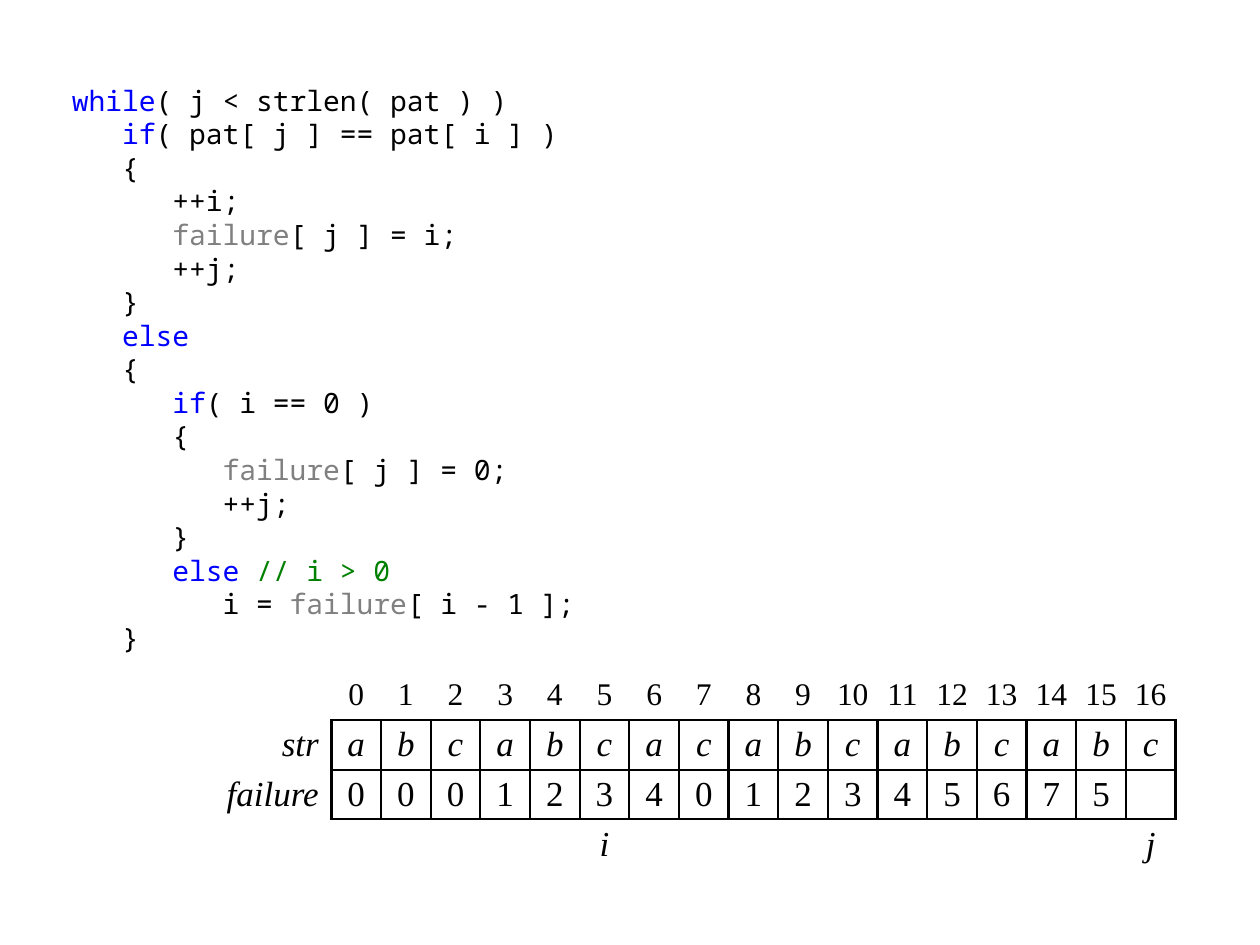
from lxml import etree
from pptx import Presentation
from pptx.dml.color import RGBColor
from pptx.enum.text import MSO_ANCHOR, MSO_AUTO_SIZE, PP_ALIGN
from pptx.oxml.ns import qn
from pptx.util import Inches, Pt

COLOURS = {"plain": "000000", "keyword": "0000FF", "array": "808080", "comment": "008000"}
TOKENS = {"while": "keyword", "if": "keyword", "else": "keyword",
          "failure": "array", "// i > 0": "comment"}

# Bars set off the coloured tokens.
CODE = """\
|while|( j < strlen( pat ) )
   |if|( pat[ j ] == pat[ i ] )
   {
      ++i;
      |failure|[ j ] = i;
      ++j;
   }
   |else|
   {
      |if|( i == 0 )
      {
         |failure|[ j ] = 0;
         ++j;
      }
      |else| |// i > 0|
         i = |failure|[ i - 1 ];
   }"""

TEXT = "abcabcacabcabcabc"
FAILURE = "0001234012345675"
COUNT = len(TEXT)
POINTER_I, POINTER_J = 5, 16
LABEL_WIDTH, CELL = 0.98, 6.7 / COUNT


def add_run(paragraph, text, font_name, size, colour="plain", italic=False):
    run = paragraph.add_run()
    run.text = text
    run.font.name = font_name
    run.font.size = Pt(size)
    run.font.italic = italic
    run.font.color.rgb = RGBColor.from_string(COLOURS[colour])


def is_boxed(row, column):
    """Tell whether a cell belongs to the ruled part of the table."""
    return row in (1, 2) and 1 <= column <= COUNT


presentation = Presentation()
presentation.slide_width, presentation.slide_height = Inches(10), Inches(7.5)
slide = presentation.slides.add_slide(presentation.slide_layouts[1])
title = slide.shapes.title
title.element.getparent().remove(title.element)

# Code listing
body = slide.placeholders[1]
body.left, body.top, body.width, body.height = map(Inches, (0.47, 0.61, 5, 4.72))
frame = body.text_frame
frame.auto_size = MSO_AUTO_SIZE.NONE
frame.vertical_anchor = MSO_ANCHOR.TOP
for number, line in enumerate(CODE.split("\n")):
    paragraph = frame.add_paragraph() if number else frame.paragraphs[0]
    properties = paragraph._p.get_or_add_pPr()
    properties.set("marL", "0")
    properties.set("indent", "0")
    etree.SubElement(properties, qn("a:buNone"))
    paragraph.space_before = Pt(0)
    paragraph.line_spacing = Pt(19.2)
    for token in filter(None, line.split("|")):
        add_run(paragraph, token, "Noto Sans Mono", 16, TOKENS.get(token, "plain"))

# Failure function table
pointers = [""] * COUNT
pointers[POINTER_I], pointers[POINTER_J] = "i", "j"
rows = [
    ["", *map(str, range(COUNT))],
    ["str", *TEXT],
    ["failure", *FAILURE, ""],
    ["", *pointers],
]
graphic = slide.shapes.add_table(
    len(rows), COUNT + 1, Inches(1.65), Inches(5.32),
    Inches(LABEL_WIDTH + COUNT * CELL), Inches(len(rows) * CELL))
table = graphic.table
table.first_row = table.horz_banding = False
for column_index, column in enumerate(table.columns):
    column.width = Inches(CELL if column_index else LABEL_WIDTH)

sides = {"a:lnL": (0, -1), "a:lnR": (0, 1), "a:lnT": (-1, 0), "a:lnB": (1, 0)}
for row_index, values in enumerate(rows):
    table.rows[row_index].height = Inches(CELL)
    for column_index, value in enumerate(values):
        cell = table.cell(row_index, column_index)
        cell.fill.background()
        cell.vertical_anchor = MSO_ANCHOR.MIDDLE
        cell.margin_top = cell.margin_bottom = 0
        cell.margin_left = cell.margin_right = Inches(0.04 if column_index else 0.1)
        paragraph = cell.text_frame.paragraphs[0]
        paragraph.alignment = PP_ALIGN.CENTER if column_index else PP_ALIGN.RIGHT
        if value:
            add_run(paragraph, value, "Times New Roman", 20 if row_index else 18,
                    italic=value.isalpha())

        cell_properties = cell._tc.get_or_add_tcPr()
        for position, (side, (down, across)) in enumerate(sides.items()):
            border = etree.Element(qn(side), w=str(Pt(1.5)))
            cell_properties.insert(position, border)
            if is_boxed(row_index, column_index) or is_boxed(row_index + down, column_index + across):
                fill = etree.SubElement(border, qn("a:solidFill"))
                etree.SubElement(fill, qn("a:srgbClr"), val=COLOURS["plain"])
            else:
                etree.SubElement(border, qn("a:noFill"))

presentation.save("out.pptx")
